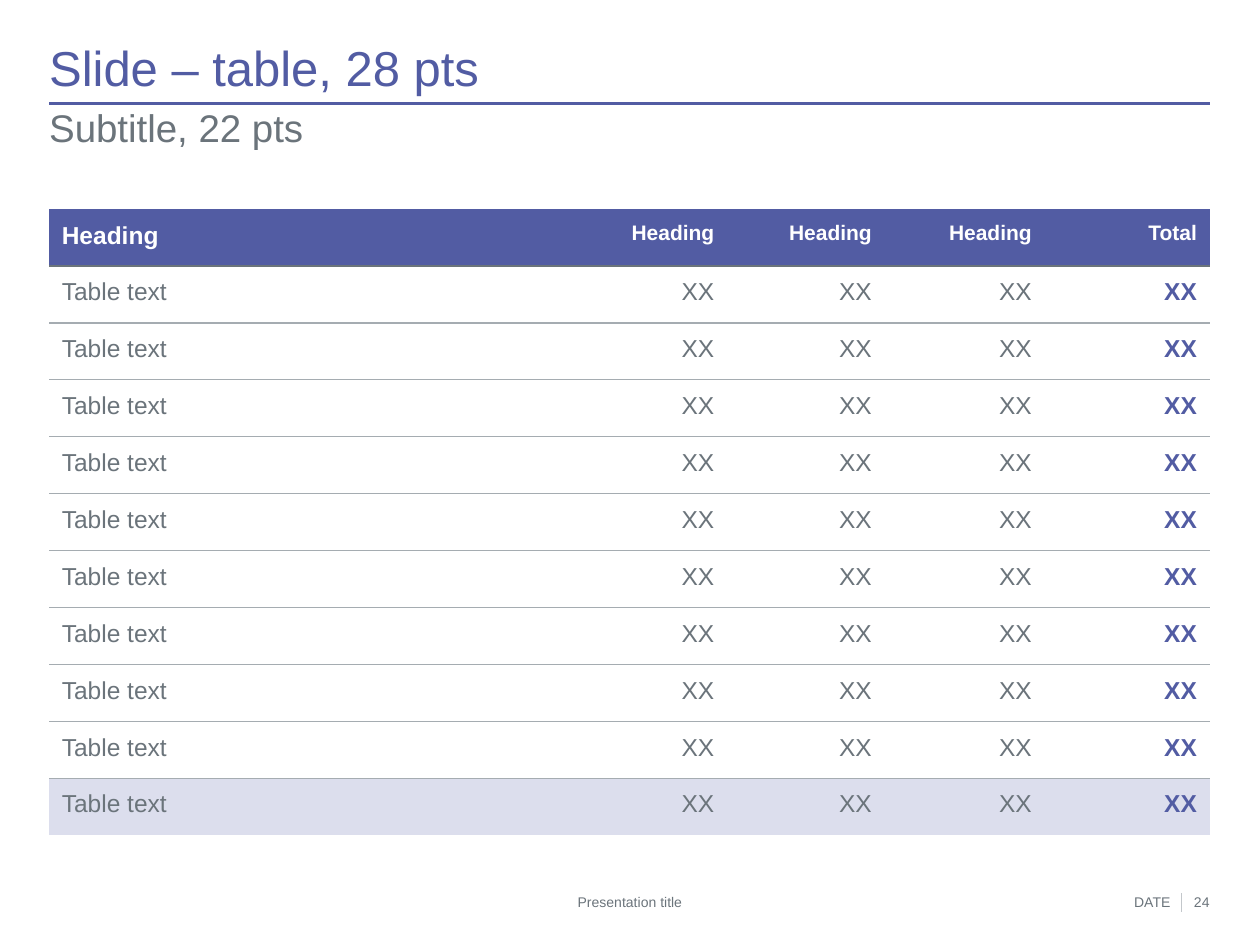
from dataclasses import dataclass
from typing import Optional

from lxml import etree
from pptx import Presentation
from pptx.dml.color import RGBColor
from pptx.enum.shapes import MSO_CONNECTOR
from pptx.enum.text import MSO_ANCHOR, PP_ALIGN
from pptx.oxml.ns import qn
from pptx.util import Inches, Pt

LEFT, CENTER, RIGHT = PP_ALIGN.LEFT, PP_ALIGN.CENTER, PP_ALIGN.RIGHT
TOP, MIDDLE = MSO_ANCHOR.TOP, MSO_ANCHOR.MIDDLE
STRAIGHT = MSO_CONNECTOR.STRAIGHT


@dataclass(frozen=True)
class Theme:
    font: str = "Arial"
    accent: str = "525CA3"
    gray: str = "6B747B"
    rule: str = "A5ACB1"
    divider: str = "C3C7CB"
    highlight: str = "DCDEED"
    white: str = "FFFFFF"
    title_size: float = 28
    subtitle_size: float = 22
    body_size: float = 14
    heading_size: float = 12
    footer_size: float = 8


@dataclass(frozen=True)
class TextStyle:
    size: float
    color: str
    bold: bool = False
    align: PP_ALIGN = LEFT
    line_spacing: Optional[float] = None


@dataclass(frozen=True)
class Label:
    text: str
    left: float
    top: float
    width: float
    height: float
    style: TextStyle
    anchor: MSO_ANCHOR = TOP


@dataclass(frozen=True)
class Rule:
    start: tuple[float, float]
    end: tuple[float, float]
    color: str
    weight: float


@dataclass(frozen=True)
class Border:
    color: str
    weight: float


THEME = Theme()
MARGIN, CONTENT_WIDTH = 0.39, 9.21
FOOTER_TOP, FOOTER_HEIGHT = 7.09, 0.13
TABLE_TOP, TABLE_HEIGHT = 1.66, 4.97
COLUMN_WIDTHS = (3.89, 1.49, 1.25, 1.27, 1.31)
TABLE_ROWS = [("Heading",) * 4 + ("Total",)] + [("Table text",) + ("XX",) * 4] * 10

FOOTER_RIGHT = TextStyle(THEME.footer_size, THEME.gray, align=RIGHT)
FOOTER_CENTER = TextStyle(THEME.footer_size, THEME.gray, align=CENTER)
LABELS = (
    Label("Slide – table, 28 pts", MARGIN, 0.35, CONTENT_WIDTH, 0.42,
          TextStyle(THEME.title_size, THEME.accent, line_spacing=0.9), MIDDLE),
    Label("Subtitle, 22 pts", MARGIN, 0.87, CONTENT_WIDTH, 0.51,
          TextStyle(THEME.subtitle_size, THEME.gray, line_spacing=0.9)),
    Label("DATE", 8.44, FOOTER_TOP, 0.85, FOOTER_HEIGHT, FOOTER_RIGHT),
    Label("24", 9.26, FOOTER_TOP, 0.34, FOOTER_HEIGHT, FOOTER_RIGHT),
    Label("Presentation title", 1.37, FOOTER_TOP, 7.26, FOOTER_HEIGHT, FOOTER_CENTER),
)
RULES = (
    Rule((MARGIN, 0.82), (MARGIN + CONTENT_WIDTH, 0.82), THEME.accent, 1.5),
    Rule((9.38, FOOTER_TOP), (9.38, 7.24), THEME.divider, 0.5),
)


def rgb(color: str) -> RGBColor:
    return RGBColor.from_string(color)


def write_text(frame, text: str, style: TextStyle) -> None:
    paragraph = frame.paragraphs[0]
    paragraph.text = text
    paragraph.alignment = style.align
    if style.line_spacing:
        paragraph.line_spacing = style.line_spacing
    font = paragraph.runs[0].font
    font.name = THEME.font
    font.size = Pt(style.size)
    font.bold = style.bold
    font.color.rgb = rgb(style.color)


def draw_label(slide, label: Label) -> None:
    box = slide.shapes.add_textbox(Inches(label.left), Inches(label.top),
                                   Inches(label.width), Inches(label.height))
    frame = box.text_frame
    frame.word_wrap = True
    frame.vertical_anchor = label.anchor
    frame.margin_left = frame.margin_right = frame.margin_top = frame.margin_bottom = 0
    write_text(frame, label.text, label.style)


def draw_rule(slide, rule: Rule) -> None:
    line = slide.shapes.add_connector(STRAIGHT, *map(Inches, rule.start + rule.end))
    line.line.color.rgb = rgb(rule.color)
    line.line.width = Pt(rule.weight)
    etree.SubElement(line._element.spPr, qn("a:effectLst"))


def set_borders(cell, top: Optional[Border], bottom: Optional[Border]) -> None:
    properties = cell._tc.get_or_add_tcPr()
    sides = {"a:lnL": None, "a:lnR": None, "a:lnT": top, "a:lnB": bottom}
    for position, (tag, border) in enumerate(sides.items()):
        edge = etree.Element(qn(tag))
        properties.insert(position, edge)
        if border is None:
            etree.SubElement(edge, qn("a:noFill"))
        else:
            edge.set("w", str(Pt(border.weight)))
            fill = etree.SubElement(edge, qn("a:solidFill"))
            etree.SubElement(fill, qn("a:srgbClr"), val=border.color)


def cell_style(row: int, column: int) -> TextStyle:
    align = RIGHT if column else LEFT
    if row == 0:
        size = THEME.heading_size if column else THEME.body_size
        return TextStyle(size, THEME.white, True, align)
    is_total = column == len(COLUMN_WIDTHS) - 1
    color = THEME.accent if is_total else THEME.gray
    return TextStyle(THEME.body_size, color, is_total, align)


def draw_table(slide) -> None:
    row_count = len(TABLE_ROWS)
    table = slide.shapes.add_table(
        row_count, len(COLUMN_WIDTHS), Inches(MARGIN), Inches(TABLE_TOP),
        Inches(CONTENT_WIDTH), Inches(TABLE_HEIGHT)).table
    table.horz_banding = False
    for column, width in zip(table.columns, COLUMN_WIDTHS):
        column.width = Inches(width)

    heading_border = Border(THEME.gray, 1)
    row_border = Border(THEME.rule, 0.75)
    borders = [None, heading_border] + [row_border] * (row_count - 2) + [None]
    row_fills = {0: THEME.accent, row_count - 1: THEME.highlight}
    for row, texts in enumerate(TABLE_ROWS):
        table.rows[row].height = Inches(TABLE_HEIGHT / row_count)
        for column, text in enumerate(texts):
            cell = table.cell(row, column)
            cell.margin_left = Inches(0 if column else 0.1)
            cell.margin_right = cell.margin_top = Inches(0.1)
            cell.margin_bottom = Inches(0.05)
            write_text(cell.text_frame, text, cell_style(row, column))
            if row in row_fills:
                cell.fill.solid()
                cell.fill.fore_color.rgb = rgb(row_fills[row])
            else:
                cell.fill.background()
            set_borders(cell, borders[row], borders[row + 1])


def main() -> None:
    presentation = Presentation()
    presentation.slide_width = Inches(10)
    presentation.slide_height = Inches(7.5)
    slide = presentation.slides.add_slide(presentation.slide_layouts[6])
    for rule in RULES:
        draw_rule(slide, rule)
    for label in LABELS:
        draw_label(slide, label)
    draw_table(slide)
    presentation.save("out.pptx")


if __name__ == "__main__":
    main()
